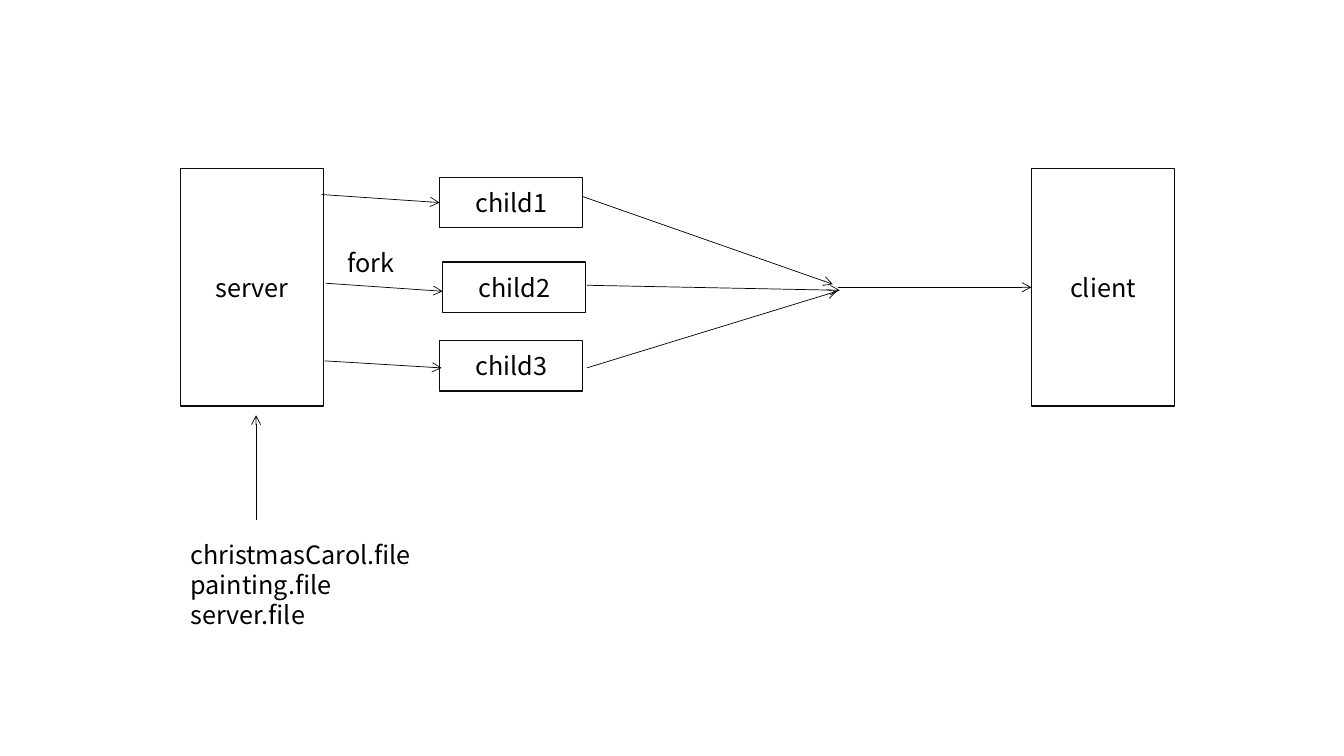
from pptx import Presentation
from pptx.dml.color import RGBColor
from pptx.enum.shapes import MSO_CONNECTOR, MSO_SHAPE
from pptx.enum.text import MSO_ANCHOR, MSO_AUTO_SIZE, PP_ALIGN
from pptx.oxml.ns import qn
from pptx.util import Inches, Pt
from lxml import etree

RECT = MSO_SHAPE.RECTANGLE
STRAIGHT = MSO_CONNECTOR.STRAIGHT
MIDDLE, TOP = MSO_ANCHOR.MIDDLE, MSO_ANCHOR.TOP
CENTER, LEFT = PP_ALIGN.CENTER, PP_ALIGN.LEFT
FIT_SHAPE = MSO_AUTO_SIZE.SHAPE_TO_FIT_TEXT

THEME = {
    "font": "Noto Sans CJK SC",
    "size": Pt(18),
    "leading": Pt(21.5),
    "text": RGBColor(0x00, 0x00, 0x00),
    "fill": RGBColor(0xFF, 0xFF, 0xFF),
    "border": RGBColor(0x0D, 0x0D, 0x0D),
    "border_width": Pt(1),
    "arrow": RGBColor(0x00, 0x00, 0x00),
    "arrow_width": Pt(0.5),
}


def write(tf, lines, align, anchor):
    tf.vertical_anchor = anchor
    for i, line in enumerate(lines):
        p = tf.paragraphs[0] if i == 0 else tf.add_paragraph()
        p.alignment = align
        p.line_spacing = THEME["leading"]
        r = p.add_run()
        r.text = line
        r.font.name = THEME["font"]
        r.font.size = THEME["size"]
        r.font.color.rgb = THEME["text"]


prs = Presentation()
prs.slide_width, prs.slide_height = Inches(13.33), Inches(7.5)
s = prs.slides.add_slide(prs.slide_layouts[6])

# Arrows: start x, start y, end x, end y
arrows = [
    (2.54, 5.16, 2.54, 4.12),  # files to server
    (3.19, 1.93, 4.36, 2.01),  # server to children
    (3.23, 2.81, 4.39, 2.89),
    (3.22, 3.58, 4.38, 3.65),
    (5.78, 1.95, 8.26, 2.82),  # children to junction
    (5.82, 2.83, 8.33, 2.88),
    (5.82, 3.65, 8.30, 2.89),
    (8.31, 2.85, 10.23, 2.85),  # junction to client
]

# Server, client and child boxes
box_width, host_height, child_height = 1.42, 2.36, 0.5
boxes = [
    ("server", 1.79, 1.67, host_height),
    ("client", 10.23, 1.67, host_height),
    ("child1", 4.36, 1.76, child_height),
    ("child2", 4.39, 2.6, child_height),
    ("child3", 4.36, 3.38, child_height),
]
for label, x, y, height in boxes:
    sp = s.shapes.add_shape(RECT, Inches(x), Inches(y), Inches(box_width), Inches(height))
    sp.shadow.inherit = False
    sp.fill.solid()
    sp.fill.fore_color.rgb = THEME["fill"]
    sp.line.color.rgb = THEME["border"]
    sp.line.width = THEME["border_width"]
    write(sp.text_frame, [label], CENTER, MIDDLE)

for x1, y1, x2, y2 in arrows:
    cxn = s.shapes.add_connector(STRAIGHT, Inches(x1), Inches(y1), Inches(x2), Inches(y2))
    cxn.line.color.rgb = THEME["arrow"]
    cxn.line.width = THEME["arrow_width"]
    etree.SubElement(cxn.line._get_or_add_ln(), qn("a:tailEnd"), type="arrow")
    etree.SubElement(cxn._element.spPr, qn("a:effectLst"))

# File list and fork label
labels = [
    (["christmasCarol.file", "painting.file", "server.file"], 1.79, 5.3, 2.51, 1.01, False),
    (["fork"], 3.35, 2.41, 1.46, 0.4, True),
]
for lines, x, y, width, height, wrap in labels:
    sp = s.shapes.add_textbox(Inches(x), Inches(y), Inches(width), Inches(height))
    tf = sp.text_frame
    tf.word_wrap = wrap
    tf.auto_size = FIT_SHAPE
    write(tf, lines, LEFT, TOP)

prs.save("out.pptx")
